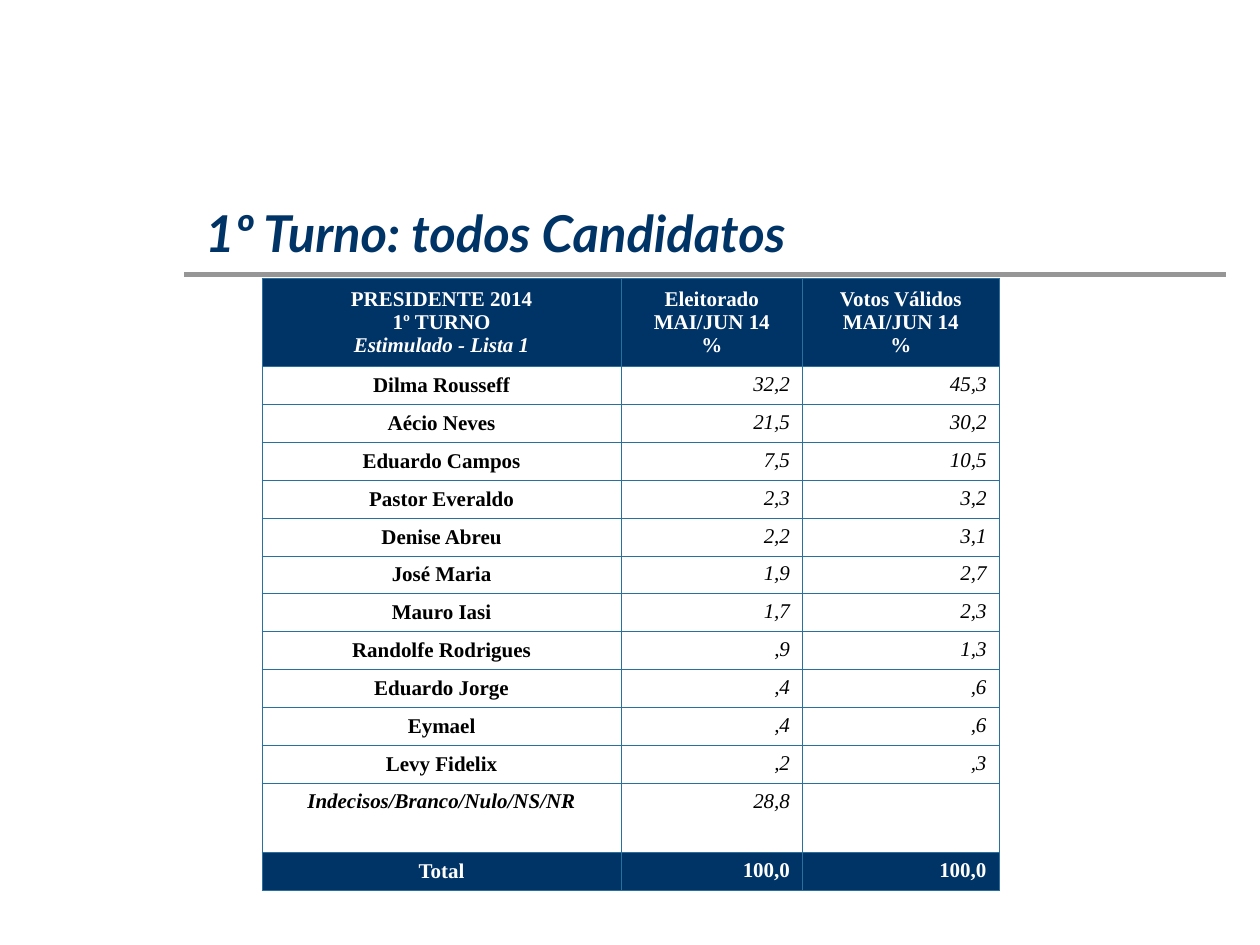
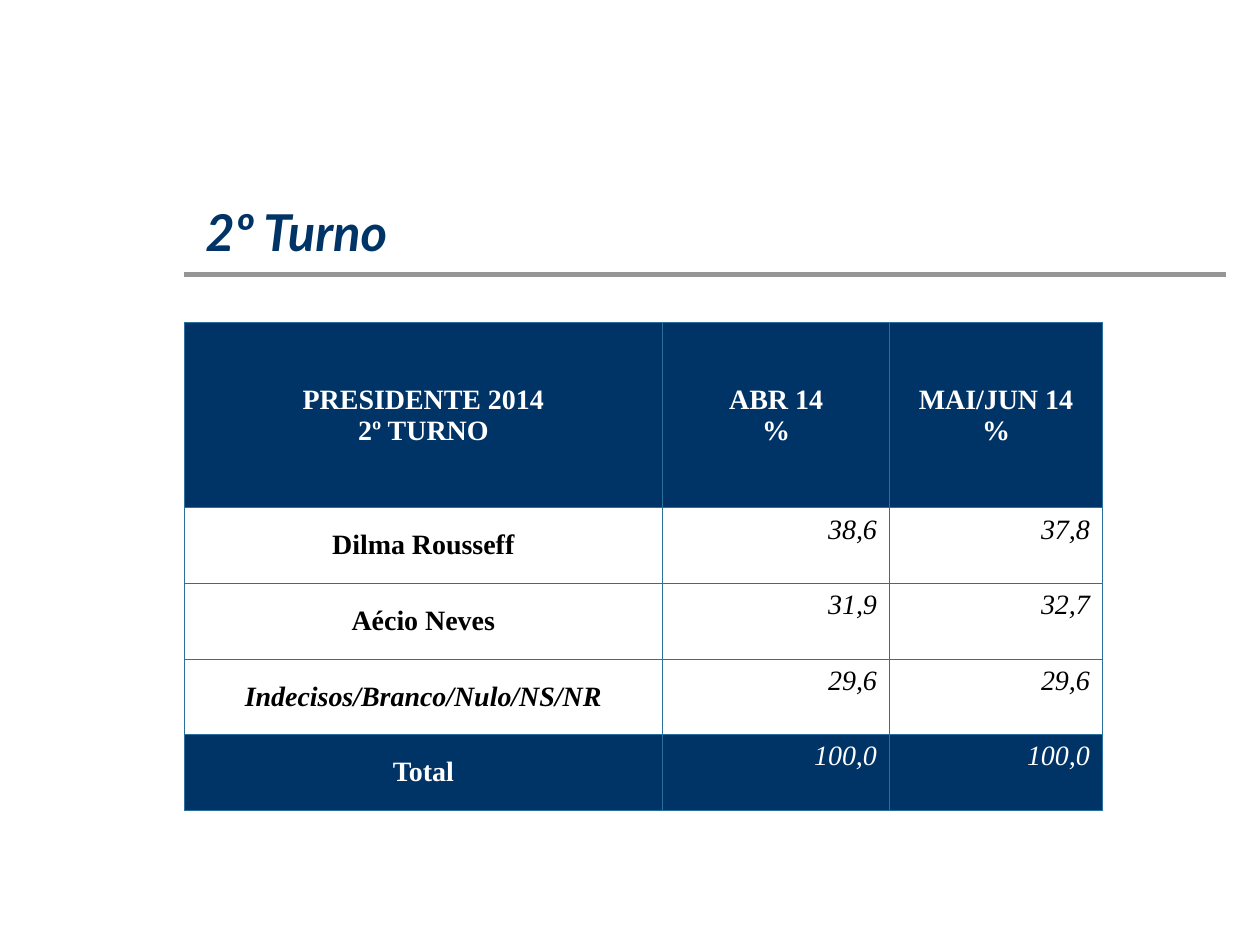
"""Build two slides with the first and second round results of a 2014 election poll."""

from dataclasses import dataclass

from lxml import etree
from pptx import Presentation
from pptx.dml.color import RGBColor
from pptx.enum.shapes import MSO_CONNECTOR
from pptx.enum.text import MSO_ANCHOR, MSO_AUTO_SIZE, PP_ALIGN
from pptx.oxml.ns import qn
from pptx.presentation import Presentation as Deck
from pptx.slide import Slide
from pptx.table import _Cell
from pptx.util import Inches, Pt

NAVY = RGBColor(0x00, 0x33, 0x66)
WHITE = RGBColor(0xFF, 0xFF, 0xFF)
BLACK = RGBColor(0x00, 0x00, 0x00)
GRAY = RGBColor(0x96, 0x96, 0x96)
BORDER_BLUE = RGBColor(0x29, 0x71, 0x9C)

TITLE_FONT = "Lato"
TABLE_FONT = "Times New Roman"
TITLE_SIZE = Pt(29)
BORDER_WIDTH = Pt(0.45)
CELL_SIDES = ("a:lnL", "a:lnR", "a:lnT", "a:lnB")

STRAIGHT = MSO_CONNECTOR.STRAIGHT
TOP = MSO_ANCHOR.TOP
MIDDLE = MSO_ANCHOR.MIDDLE
LEFT = PP_ALIGN.LEFT
CENTER = PP_ALIGN.CENTER
RIGHT = PP_ALIGN.RIGHT
GROW = MSO_AUTO_SIZE.SHAPE_TO_FIT_TEXT

TITLE_ONLY_LAYOUT = 5
UNDECIDED = "Indecisos/Branco/Nulo/NS/NR"
LIST_NAME = "Estimulado - Lista 1"


@dataclass(frozen=True)
class TextStyle:
    """Look of the text in one kind of cell."""

    color: RGBColor
    bold: bool
    italic: bool
    alignment: PP_ALIGN
    anchor: MSO_ANCHOR


HEADER = TextStyle(WHITE, True, False, CENTER, MIDDLE)
CANDIDATE = TextStyle(BLACK, True, False, CENTER, MIDDLE)
VALUE = TextStyle(BLACK, False, True, RIGHT, TOP)
BOLD_TOTAL = TextStyle(WHITE, True, False, RIGHT, TOP)
ITALIC_TOTAL = TextStyle(WHITE, False, True, RIGHT, TOP)


@dataclass(frozen=True)
class PollSlide:
    """One poll: title, table geometry in inches, and table rows."""

    title: str
    title_top: float
    left: float
    top: float
    column_widths: tuple[float, ...]
    header_height: float
    row_height: float
    undecided_height: float
    undecided_anchor: MSO_ANCHOR
    font_size: int
    total_style: TextStyle
    rows: tuple[tuple[str, ...], ...]

    def row_heights(self) -> list[float]:
        """Return the height of every row."""
        return [self.header_height] + [
            self.undecided_height if row[0] == UNDECIDED else self.row_height
            for row in self.rows[1:]
        ]

    def cell_style(self, row: int, column: int) -> TextStyle:
        """Return the text style of the cell at a row and column."""
        is_total = row == len(self.rows) - 1
        if row == 0 or (is_total and column == 0):
            return HEADER
        if is_total:
            return self.total_style
        if column > 0:
            return VALUE
        if self.rows[row][0] == UNDECIDED:
            return TextStyle(BLACK, True, True, CENTER, self.undecided_anchor)
        return CANDIDATE


POLLS = (
    PollSlide(
        title="1º Turno: todos Candidatos",
        title_top=1.55,
        left=2.08,
        top=2.21,
        column_widths=(2.85, 1.44, 1.56),
        header_height=0.7,
        row_height=0.3,
        undecided_height=0.55,
        undecided_anchor=TOP,
        font_size=12,
        total_style=BOLD_TOTAL,
        rows=(
            (
                f"PRESIDENTE 2014\n1º TURNO\n{LIST_NAME}",
                "Eleitorado\nMAI/JUN 14\n%",
                "Votos Válidos\nMAI/JUN 14\n%",
            ),
            ("Dilma Rousseff", "32,2", "45,3"),
            ("Aécio Neves", "21,5", "30,2"),
            ("Eduardo Campos", "7,5", "10,5"),
            ("Pastor Everaldo", "2,3", "3,2"),
            ("Denise Abreu", "2,2", "3,1"),
            ("José Maria", "1,9", "2,7"),
            ("Mauro Iasi", "1,7", "2,3"),
            ("Randolfe Rodrigues", ",9", "1,3"),
            ("Eduardo Jorge", ",4", ",6"),
            ("Eymael", ",4", ",6"),
            ("Levy Fidelix", ",2", ",3"),
            (UNDECIDED, "28,8", ""),
            ("Total", "100,0", "100,0"),
        ),
    ),
    PollSlide(
        title="2º Turno",
        title_top=1.54,
        left=1.46,
        top=2.56,
        column_widths=(3.8, 1.8, 1.69),
        header_height=1.47,
        row_height=0.6,
        undecided_height=0.6,
        undecided_anchor=MIDDLE,
        font_size=16,
        total_style=ITALIC_TOTAL,
        rows=(
            ("PRESIDENTE 2014\n2º TURNO", "ABR 14\n%", "MAI/JUN 14\n%"),
            ("Dilma Rousseff", "38,6", "37,8"),
            ("Aécio Neves", "31,9", "32,7"),
            (UNDECIDED, "29,6", "29,6"),
            ("Total", "100,0", "100,0"),
        ),
    ),
)


def add_title_rule(slide: Slide) -> None:
    """Draw the gray line under the title."""
    rule = slide.shapes.add_connector(
        STRAIGHT, Inches(1.46), Inches(2.18), Inches(9.73), Inches(2.18)
    )
    rule.line.color.rgb = GRAY
    rule.line.width = Pt(3)
    etree.SubElement(rule._element.spPr, qn("a:effectLst"))


def set_title(slide: Slide, poll: PollSlide) -> None:
    """Place, fill and format the title placeholder."""
    title = slide.shapes.title
    title.left, title.top = Inches(1.53), Inches(poll.title_top)
    title.width, title.height = Inches(7.99), Inches(0.59)
    text_frame = title.text_frame
    text_frame.text = poll.title
    text_frame.word_wrap = True
    text_frame.auto_size = GROW
    text_frame.vertical_anchor = TOP
    paragraph = text_frame.paragraphs[0]
    paragraph.alignment = LEFT
    font = paragraph.runs[0].font
    font.name, font.size = TITLE_FONT, TITLE_SIZE
    font.bold = font.italic = True
    font.color.rgb = NAVY


def set_borders(cell: _Cell) -> None:
    """Give a cell a thin blue line on all four sides."""
    properties = cell._tc.get_or_add_tcPr()
    for side in CELL_SIDES:
        line = etree.SubElement(properties, qn(side), w=str(int(BORDER_WIDTH)))
        fill = etree.SubElement(line, qn("a:solidFill"))
        etree.SubElement(fill, qn("a:srgbClr"), val=str(BORDER_BLUE))


def fill_cell(cell: _Cell, text: str, style: TextStyle, size: int) -> None:
    """Write and format one table cell."""
    set_borders(cell)
    cell.fill.solid()
    cell.fill.fore_color.rgb = NAVY if style.color == WHITE else WHITE
    cell.vertical_anchor = style.anchor
    cell.margin_left = cell.margin_right = Inches(0.1)
    cell.margin_top = cell.margin_bottom = Inches(0.05)
    cell.text_frame.text = text
    for paragraph in cell.text_frame.paragraphs:
        paragraph.alignment = style.alignment
        for run in paragraph.runs:
            run.font.name, run.font.size = TABLE_FONT, Pt(size)
            run.font.bold = style.bold
            run.font.italic = style.italic or run.text == LIST_NAME
            run.font.color.rgb = style.color


def add_results_table(slide: Slide, poll: PollSlide) -> None:
    """Add the table of poll results."""
    heights = poll.row_heights()
    table = slide.shapes.add_table(
        len(poll.rows),
        len(poll.column_widths),
        Inches(poll.left),
        Inches(poll.top),
        Inches(sum(poll.column_widths)),
        Inches(sum(heights)),
    ).table
    table.first_row = table.horz_banding = False
    for column, width in zip(table.columns, poll.column_widths):
        column.width = Inches(width)
    for row, height in zip(table.rows, heights):
        row.height = Inches(height)
    for row_index, texts in enumerate(poll.rows):
        for column_index, text in enumerate(texts):
            style = poll.cell_style(row_index, column_index)
            fill_cell(table.cell(row_index, column_index), text, style, poll.font_size)


def add_poll_slide(presentation: Deck, poll: PollSlide) -> None:
    """Add one complete poll slide."""
    slide = presentation.slides.add_slide(presentation.slide_layouts[TITLE_ONLY_LAYOUT])
    add_title_rule(slide)
    set_title(slide, poll)
    add_results_table(slide, poll)


def main() -> None:
    """Build and save the presentation."""
    presentation = Presentation()
    presentation.slide_width, presentation.slide_height = Inches(10), Inches(7.5)
    for poll in POLLS:
        add_poll_slide(presentation, poll)
    presentation.save("out.pptx")


if __name__ == "__main__":
    main()
